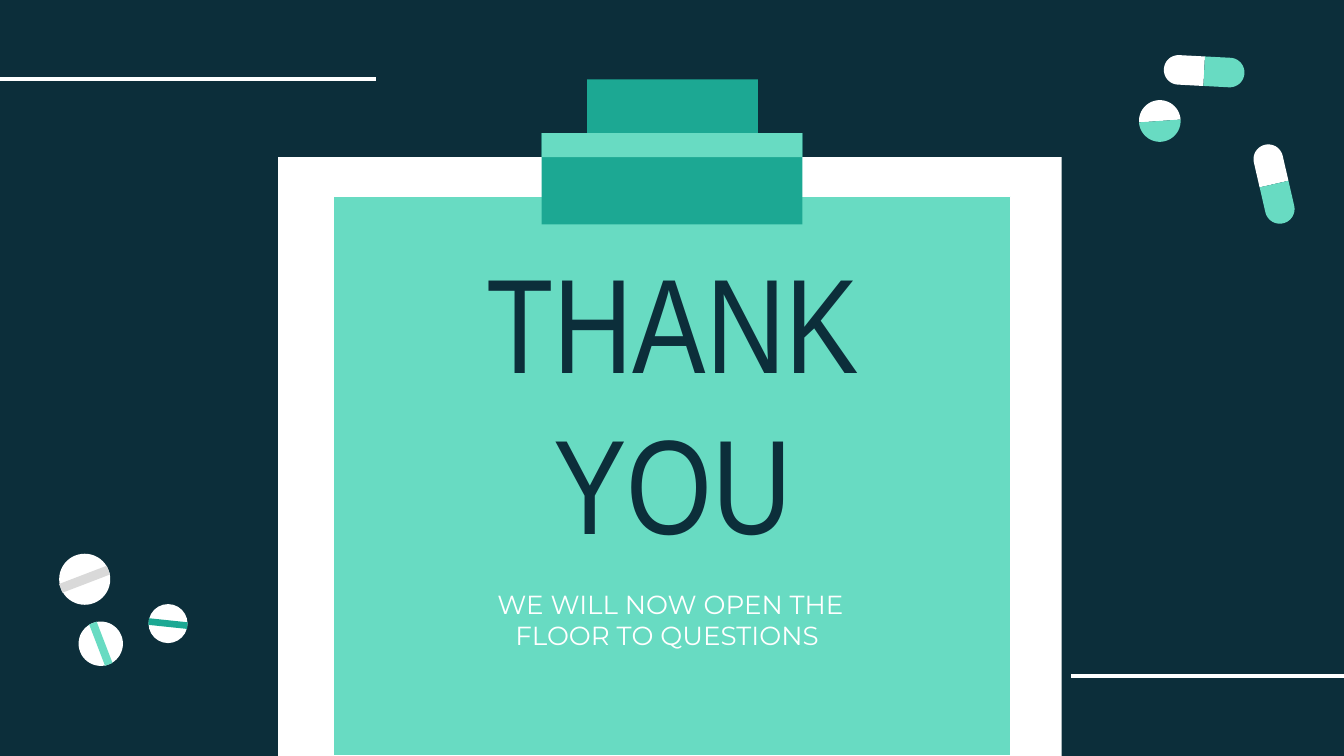
import math
from typing import NamedTuple

from lxml import etree
from pptx import Presentation
from pptx import util as u
from pptx.dml.color import RGBColor
from pptx.enum import shapes, text
from pptx.oxml.ns import qn

NAVY, WHITE, MINT, TEAL, GREY = "0C2E3A", "FFFFFF", "68DBC2", "1CA893", "D9D9D9"
WIDTH = 10
HEIGHT = WIDTH * 9 / 16


class Panel(NamedTuple):
    left: float
    top: float
    width: float
    height: float
    colour: str


class Tablet(NamedTuple):
    x: float
    y: float
    diameter: float
    band: float
    angle: float
    colour: str


class Capsule(NamedTuple):
    x: float
    y: float
    length: float
    thickness: float
    angle: float


class Caption(NamedTuple):
    left: float
    top: float
    width: float
    height: float
    words: str
    font: str
    size: int
    colour: str
    gap_after: int


TABLETS = [
    Tablet(0.75, 4.79, 0.33, 0.06, 69, MINT),
    Tablet(1.25, 4.64, 0.29, 0.05, 6, TEAL),
    Tablet(0.63, 4.31, 0.38, 0.07, -21, GREY),
]
CAPSULES = [
    Capsule(8.63, 0.9, 0.31, 0.31, 86),
    Capsule(8.96, 0.53, 0.6, 0.22, 3),
    Capsule(9.48, 1.37, 0.6, 0.22, 77),
]
PAPER = [
    Panel(2.07, 1.17, 5.83, HEIGHT - 1.17, WHITE),
    Panel(2.48, 1.46, 5.04, HEIGHT - 1.46, MINT),
]
CLIP = [(4.37, 0.59), (4.37, 0.99), (4.03, 0.99), (4.03, 1.67),
        (5.97, 1.67), (5.97, 0.99), (5.64, 0.99), (5.64, 0.59)]
CLIP_EDGE = Panel(4.03, 0.99, 1.94, 0.18, MINT)
CAPTIONS = [
    Caption(2.8, 2.38, 4.41, 1.2, "THANK YOU", "Arial Narrow", 72, NAVY, 0),
    Caption(3.32, 4.15, 3.34, 0.92, "WE WILL NOW OPEN THE FLOOR TO QUESTIONS ",
            "Montserrat", 14, WHITE, 12),
]


def paint(fill, colour: str) -> None:
    fill.solid()
    fill.fore_color.rgb = RGBColor.from_string(colour)


def finish(shape, colour: str) -> None:
    paint(shape.fill, colour)
    shape.line.fill.background()
    shape.shadow.inherit = False


def add_panel(slide, panel: Panel, kind=shapes.MSO_SHAPE.RECTANGLE):
    box = [u.Inches(length) for length in panel[:4]]
    shape = slide.shapes.add_shape(kind, *box)
    finish(shape, panel.colour)
    return shape


def add_outline(slide, points: list[tuple[float, float]], colour: str) -> None:
    corners = [(u.Inches(x), u.Inches(y)) for x, y in points]
    builder = slide.shapes.build_freeform(*corners[0])
    builder.add_line_segments(corners[1:], close=True)
    finish(builder.convert_to_shape(), colour)


def add_rule(slide, start: float, end: float, y: float) -> None:
    rule = slide.shapes.add_connector(
        shapes.MSO_CONNECTOR.STRAIGHT,
        u.Inches(start), u.Inches(y), u.Inches(end), u.Inches(y))
    paint(rule.line.fill, WHITE)
    rule.line.width = u.Pt(2.25)
    etree.SubElement(rule._element.spPr, qn("a:effectLst"))


def add_tablet(slide, tablet: Tablet) -> None:
    size, band = tablet.diameter, tablet.band
    left = tablet.x - size / 2
    disc = Panel(left, tablet.y - size / 2, size, size, WHITE)
    add_panel(slide, disc, shapes.MSO_SHAPE.OVAL)
    stripe = Panel(left, tablet.y - band / 2, size, band, tablet.colour)
    add_panel(slide, stripe).rotation = tablet.angle


def add_capsule(slide, capsule: Capsule) -> None:
    radius = capsule.thickness / 2
    straight = capsule.length / 2 - radius
    arc = [math.radians(degrees) for degrees in range(-90, 91, 6)]
    half = [(0, -radius)]
    half += [(straight + radius * math.cos(a), radius * math.sin(a)) for a in arc]
    half.append((0, radius))
    for turn, colour in ((180, WHITE), (0, MINT)):
        angle = math.radians(capsule.angle + turn)
        cos, sin = math.cos(angle), math.sin(angle)
        points = [(capsule.x + x * cos - y * sin, capsule.y + x * sin + y * cos)
                  for x, y in half]
        add_outline(slide, points, colour)


def add_caption(slide, caption: Caption) -> None:
    box = [u.Inches(length) for length in caption[:4]]
    frame = slide.shapes.add_textbox(*box).text_frame
    frame.word_wrap = True
    frame.vertical_anchor = text.MSO_ANCHOR.MIDDLE
    frame.margin_left = frame.margin_right = u.Inches(0.1)
    frame.margin_top = frame.margin_bottom = u.Inches(0.1)
    paragraph = frame.paragraphs[0]
    paragraph.text = caption.words
    paragraph.alignment = text.PP_ALIGN.CENTER
    paragraph.space_after = u.Pt(caption.gap_after)
    paragraph.font.name = caption.font
    paragraph.font.size = u.Pt(caption.size)
    paint(paragraph.font.fill, caption.colour)


def main() -> None:
    deck = Presentation()
    deck.slide_width, deck.slide_height = u.Inches(WIDTH), u.Inches(HEIGHT)
    slide = deck.slides.add_slide(deck.slide_layouts[6])
    paint(slide.background.fill, NAVY)

    add_rule(slide, 0, 2.8, 0.59)
    add_rule(slide, 7.97, WIDTH, 5.03)
    for tablet in TABLETS:
        add_tablet(slide, tablet)
    for capsule in CAPSULES:
        add_capsule(slide, capsule)

    _, sheet = [add_panel(slide, panel) for panel in PAPER]
    paint(sheet.line.fill, WHITE)
    sheet.line.width = u.Pt(0.75)
    add_outline(slide, CLIP, TEAL)
    add_panel(slide, CLIP_EDGE)

    for caption in CAPTIONS:
        add_caption(slide, caption)
    deck.save("out.pptx")


if __name__ == "__main__":
    main()
